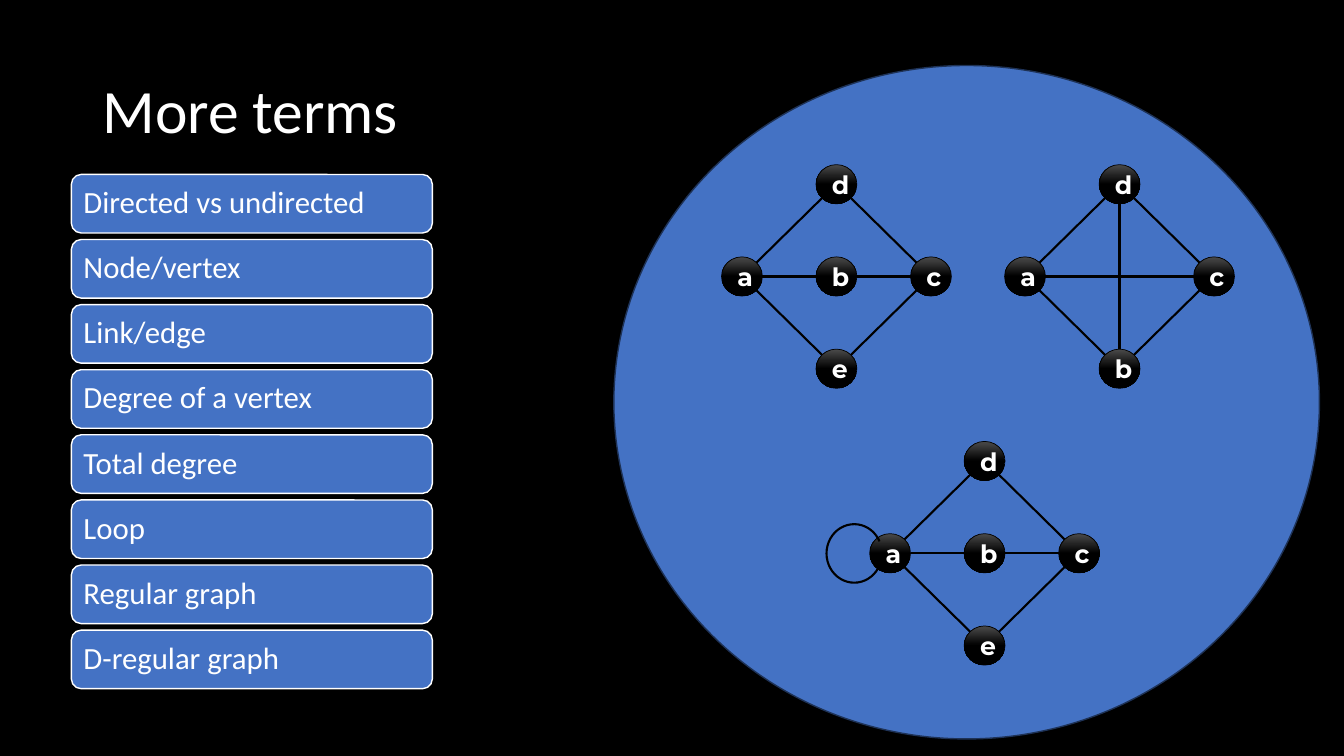
from dataclasses import dataclass
from math import hypot

import pptx
import pptx.dml.color
import pptx.enum.shapes
import pptx.enum.text
import pptx.oxml
import pptx.oxml.ns
import pptx.util
from pptx.dml.color import RGBColor
from pptx.enum.shapes import MSO_SHAPE
from pptx.util import Pt

BLACK = RGBColor(0x00, 0x00, 0x00)
WHITE = RGBColor(0xFF, 0xFF, 0xFF)
BLUE = RGBColor(0x44, 0x72, 0xC4)
DARK_BLUE = RGBColor(0x1E, 0x32, 0x56)
NODE_SHEEN = RGBColor(0x4B, 0x4B, 0x4B)

TERMS = [
    "Directed vs undirected", "Node/vertex", "Link/edge", "Degree of a vertex",
    "Total degree", "Loop", "Regular graph", "D-regular graph",
]
TERM_LEFT, TERM_TOP, TERM_WIDTH, TERM_HEIGHT = 51, 124.6, 257.8, 41.8
TERM_PITCH = 46.5

NODE_WIDTH, NODE_HEIGHT = 29.2, 28
STEP_X, STEP_Y = 67.5, 65.9


@dataclass(frozen=True)
class Graph:
    """Nodes sit on a grid of steps around the centre; an edge is two node names."""
    center_x: float
    center_y: float
    nodes: dict[str, tuple[int, int]]
    edges: tuple[str, ...]


FIVE_NODES = {"a": (-1, 0), "d": (0, -1), "c": (1, 0), "b": (0, 0), "e": (0, 1)}
FIVE_EDGES = ("ad", "cd", "ab", "bc", "ec", "ae")
FOUR_NODES = {"a": (-1, 0), "d": (0, -1), "c": (1, 0), "b": (0, 1)}
FOUR_EDGES = ("ad", "cd", "bc", "ab", "ac", "db")
GRAPHS = [
    Graph(597.5, 197.5, FIVE_NODES, FIVE_EDGES),
    Graph(799.7, 197.5, FOUR_NODES, FOUR_EDGES),
    Graph(703.3, 395.2, FIVE_NODES, FIVE_EDGES),
]


def add_outlined_shape(slide, kind: MSO_SHAPE, left: float, top: float, width: float,
                       height: float, line_color: RGBColor, line_width: float):
    shape = slide.shapes.add_shape(kind, Pt(left), Pt(top), Pt(width), Pt(height))
    shape.shadow.inherit = False
    shape.line.color.rgb = line_color
    shape.line.width = Pt(line_width)
    return shape


def style_paragraph(paragraph, font_name: str, size: float,
                    alignment: pptx.enum.text.PP_ALIGN, bold: bool = False) -> None:
    paragraph.alignment = alignment
    paragraph.font.name = font_name
    paragraph.font.size = Pt(size)
    paragraph.font.bold = bold
    paragraph.font.color.rgb = WHITE


def add_title(slide) -> None:
    title = slide.shapes.title
    title.left, title.top, title.width, title.height = Pt(66), Pt(28.8), Pt(828), Pt(104.4)
    title.text_frame.text = "More terms"
    title.text_frame.vertical_anchor = pptx.enum.text.MSO_ANCHOR.MIDDLE
    paragraph = title.text_frame.paragraphs[0]
    paragraph.line_spacing = 0.9
    style_paragraph(paragraph, "Calibri", 44, pptx.enum.text.PP_ALIGN.LEFT)


def add_term(slide, index: int, term: str) -> None:
    box = add_outlined_shape(slide, MSO_SHAPE.ROUNDED_RECTANGLE, TERM_LEFT,
                             TERM_TOP + index * TERM_PITCH, TERM_WIDTH, TERM_HEIGHT, WHITE, 1)
    box.fill.solid()
    box.fill.fore_color.rgb = BLUE
    frame = box.text_frame
    frame.margin_left = frame.margin_right = Pt(6.6)
    frame.text = term
    paragraph = frame.paragraphs[0]
    paragraph.line_spacing = 0.9
    style_paragraph(paragraph, "Calibri", 22, pptx.enum.text.PP_ALIGN.LEFT)


def add_node(slide, graph: Graph, name: str) -> None:
    column, row = graph.nodes[name]
    node = add_outlined_shape(slide, MSO_SHAPE.OVAL,
                              graph.center_x + column * STEP_X - NODE_WIDTH / 2,
                              graph.center_y + row * STEP_Y - NODE_HEIGHT / 2,
                              NODE_WIDTH, NODE_HEIGHT, BLACK, 0.5)
    node.fill.gradient()
    node.fill.gradient_angle = 270
    sheen, body = node.fill.gradient_stops
    sheen.color.rgb, sheen.position = NODE_SHEEN, 0
    body.color.rgb, body.position = BLACK, 0.5
    node.text_frame.text = name
    style_paragraph(node.text_frame.paragraphs[0], "Montserrat", 18,
                    pptx.enum.text.PP_ALIGN.CENTER, bold=True)


def add_edge(slide, graph: Graph, edge: str) -> None:
    """Draw a line between the rims of two nodes."""
    (start_column, start_row), (end_column, end_row) = (graph.nodes[name] for name in edge)
    length = hypot(end_column - start_column, end_row - start_row)
    rim_x = (end_column - start_column) / length * NODE_WIDTH / 2
    rim_y = (end_row - start_row) / length * NODE_HEIGHT / 2
    connector = slide.shapes.add_connector(
        pptx.enum.shapes.MSO_CONNECTOR.STRAIGHT,
        Pt(graph.center_x + start_column * STEP_X + rim_x),
        Pt(graph.center_y + start_row * STEP_Y + rim_y),
        Pt(graph.center_x + end_column * STEP_X - rim_x),
        Pt(graph.center_y + end_row * STEP_Y - rim_y))
    connector.line.color.rgb = BLACK
    connector.line.width = Pt(1.5)
    connector._element.spPr.append(
        pptx.oxml.parse_xml(f"<a:effectLst {pptx.oxml.ns.nsdecls('a')}/>"))


def main() -> None:
    presentation = pptx.Presentation()
    presentation.slide_width, presentation.slide_height = Pt(960), Pt(540)
    slide = presentation.slides.add_slide(presentation.slide_layouts[5])
    slide.background.fill.solid()
    slide.background.fill.fore_color.rgb = BLACK

    # Title and list of terms
    add_title(slide)
    for index, term in enumerate(TERMS):
        add_term(slide, index, term)

    # Disc behind the graphs
    disc = add_outlined_shape(slide, MSO_SHAPE.FLOWCHART_CONNECTOR,
                              438.5, 46.8, 504, 481, DARK_BLUE, 1)
    disc.fill.solid()
    disc.fill.fore_color.rgb = BLUE

    # Graphs
    for graph in GRAPHS:
        for name in graph.nodes:
            add_node(slide, graph, name)
        for edge in graph.edges:
            add_edge(slide, graph, edge)

    # Loop at node a of the lower graph
    loop = add_outlined_shape(slide, MSO_SHAPE.ARC, 590.4, 374.4, 39.6, 41.8, BLACK, 1.5)
    loop.fill.background()
    loop.adjustments[0], loop.adjustments[1] = 14.58, 200.71

    presentation.save("out.pptx")


if __name__ == "__main__":
    main()
